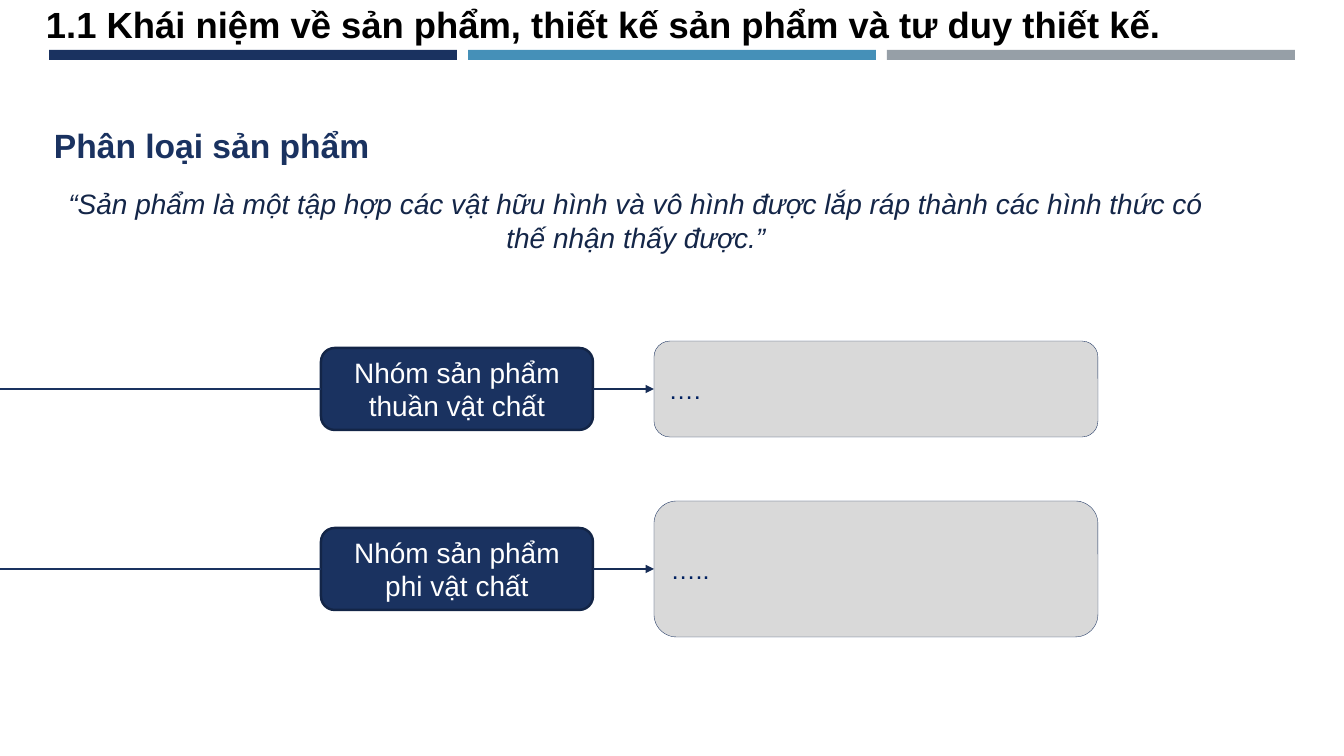
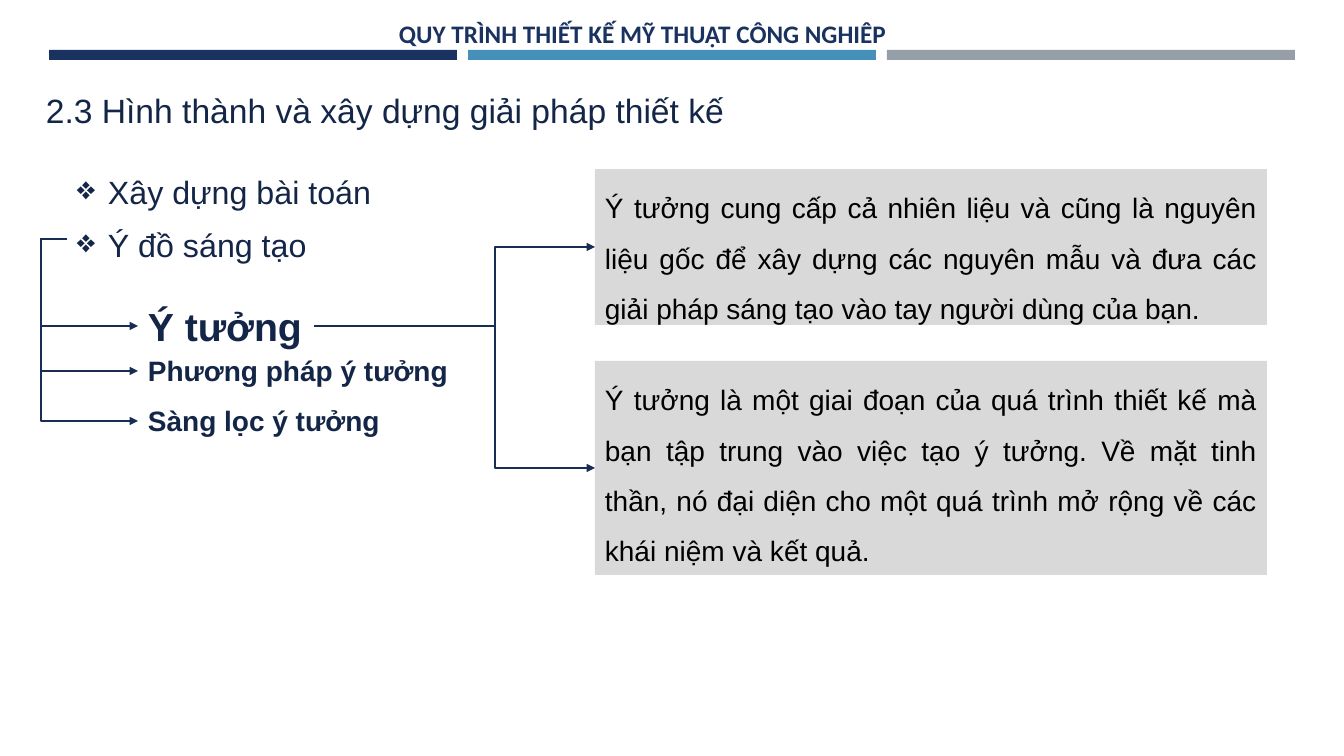
from lxml import etree
from pptx import Presentation
from pptx.dml.color import RGBColor
from pptx.enum.shapes import MSO_CONNECTOR as CXN, MSO_SHAPE as SHAPE
from pptx.enum.text import MSO_ANCHOR as ANCHOR, PP_ALIGN as ALIGN
from pptx.oxml.ns import qn
from pptx.util import Emu, Pt

NAVY, BLUE, SILVER = "1A3260", "4590B8", "969FA7"
INK, EDGE, ARROW, PANEL = "142648", "132547", "172D56", "D9D9D9"
TOP, LEFT, BOTTOM, RIGHT = range(4)
SCALE = 914400 / 100.8


def px(n):
    return Emu(round(n * SCALE))


def rgb(value):
    return RGBColor.from_string(value)


def write(shape, text, size=20, color=INK, font="Arial", bold=False, italic=False,
          align=ALIGN.LEFT, anchor=ANCHOR.TOP, spacing=None, wrap=True, bullet=None):
    tf = shape.text_frame
    tf.word_wrap = wrap
    tf.vertical_anchor = anchor
    p = tf.paragraphs[0]
    p.alignment = align
    if spacing:
        p.line_spacing = spacing
    if bullet:
        pPr = p._p.get_or_add_pPr()
        pPr.set("marL", str(px(31)))
        pPr.set("indent", str(-px(31)))
        etree.SubElement(pPr, qn("a:buChar")).set("char", bullet)
    r = p.add_run()
    r.text = text
    r.font.name, r.font.size = font, Pt(size)
    r.font.bold, r.font.italic = bold, italic
    r.font.color.rgb = rgb(color)


def label(s, box, text, **fmt):
    sp = s.shapes.add_textbox(*map(px, box))
    write(sp, text, **fmt)
    return sp


def block(s, box, fill, kind=SHAPE.RECTANGLE, line=None, weight=1):
    sp = s.shapes.add_shape(kind, *map(px, box))
    sp.shadow.inherit = False
    sp.fill.solid()
    sp.fill.fore_color.rgb = rgb(fill)
    if line:
        sp.line.color.rgb = rgb(line)
        sp.line.width = Pt(weight)
    else:
        sp.line.fill.background()
    return sp


def side(shape, site):
    """Middle of one side of a shape."""
    x = shape.left + {LEFT: 0, RIGHT: shape.width}.get(site, shape.width // 2)
    y = shape.top + {TOP: 0, BOTTOM: shape.height}.get(site, shape.height // 2)
    return Emu(x), Emu(y)


def connect(s, start, end, color=ARROW, weight=1, arrow=True, bend=None):
    """Join (shape, side) to (shape, side); a start of None is the slide's left edge."""
    finish = side(*end)
    origin = side(*start) if start else (Emu(0), finish[1])
    kind = CXN.STRAIGHT if bend is None else CXN.ELBOW
    c = s.shapes.add_connector(kind, *origin, *finish)
    if start:
        c.begin_connect(*start)
    c.end_connect(*end)
    c.line.color.rgb = rgb(color)
    c.line.width = Pt(weight)
    spPr = c._element.spPr
    if arrow:
        etree.SubElement(c.line._get_or_add_ln(), qn("a:tailEnd")).set("type", "triangle")
    etree.SubElement(spPr, qn("a:effectLst"))
    if bend is not None:
        ratio = (px(bend) - origin[0]) / (finish[0] - origin[0])
        guides = spPr.find(qn("a:prstGeom")).find(qn("a:avLst"))
        guide = etree.SubElement(guides, qn("a:gd"))
        guide.set("name", "adj1")
        guide.set("fmla", f"val {round(ratio * 100000)}")
        if ratio < 0:  # the route leaves backwards: half turn plus both flips
            xfrm = spPr.find(qn("a:xfrm"))
            for name, value in (("rot", "10800000"), ("flipH", "1"), ("flipV", "1")):
                xfrm.set(name, value)
    return c


def new_slide(prs):
    """Blank slide with the three-colour band."""
    s = prs.slides.add_slide(prs.slide_layouts[6])
    for i, color in enumerate((NAVY, BLUE, SILVER)):
        block(s, (49 + 419 * i, 50, 408, 10), color)
    return s


def group_row(s, x, middle, name, detail, height):
    """Product group, its feeding line and its detail panel, centred on one height."""
    node = block(s, (x, middle - 41, 272, 82), NAVY, SHAPE.ROUNDED_RECTANGLE, EDGE, 1.75)
    write(node, name, color="FFFFFF", align=ALIGN.CENTER, anchor=ANCHOR.MIDDLE)
    panel = block(s, (x + 333, middle - height // 2, 444, height), PANEL,
                  SHAPE.ROUNDED_RECTANGLE, NAVY, 0.25)
    write(panel, detail, size=18, color="002060", align=ALIGN.JUSTIFY, anchor=ANCHOR.MIDDLE)
    connect(s, None, (node, LEFT), NAVY, 1.75, arrow=False)
    connect(s, (node, RIGHT), (panel, LEFT))


def classification_slide(prs):
    s = new_slide(prs)
    label(s, (36, -3, 1174, 54),
          "1.1 Khái niệm về sản phẩm, thiết kế sản phẩm và tư duy thiết kế.",
          size=26, color="000000", bold=True)
    label(s, (44, 100, 340, 72), "Phân loại sản phẩm", size=24, color=NAVY,
          bold=True, spacing=1.5, wrap=False)
    label(s, (52, 182, 1168, 78),
          "“Sản phẩm là một tập hợp các vật hữu hình và vô hình được lắp ráp thành "
          "các hình thức có thế nhận thấy được.”", italic=True, align=ALIGN.CENTER)
    rows = (("Nhóm sản phẩm thuần vật chất", "….", 96),
            ("Nhóm sản phẩm phi vật chất", "…..", 136))
    for i, row in enumerate(rows):
        group_row(s, 321, 389 + 180 * i, *row)


def idea_outline(s, x, y):
    """Bulleted topics with a bracket to the steps; returns the main step."""
    label(s, (x, y, 672, 52), "Xây dựng bài toán", size=23, spacing=1.2, bullet="❖")
    intent = label(s, (x, y + 53, 252, 52), "Ý đồ sáng tạo", size=23, spacing=1.2,
                   bullet="❖", wrap=False)
    steps = []
    for text, dy, width, height, size in (("Ý tưởng", 137, 176, 58, 28),
                                          ("Phương pháp ý tưởng", 189, 324, 44, 20),
                                          ("Sàng lọc ý tưởng", 239, 254, 44, 20)):
        step = label(s, (x + 71, y + dy, width, height), text, size=size, bold=True, wrap=False)
        connect(s, (intent, LEFT), (step, LEFT), bend=x - 26)
        steps.append(step)
    return steps[0]


def idea_notes(s, x, y, source):
    """Grey notes that the main step points to."""
    notes = (
        (0, 156, "Ý tưởng cung cấp cả nhiên liệu và cũng là nguyên liệu gốc để xây dựng "
                 "các nguyên mẫu và đưa các giải pháp sáng tạo vào tay người dùng của bạn."),
        (192, 214, "Ý tưởng là một giai đoạn của quá trình thiết kế mà bạn tập trung vào "
                   "việc tạo ý tưởng. Về mặt tinh thần, nó đại diện cho một quá trình "
                   "mở rộng về các khái niệm và kết quả."),
    )
    for dy, height, text in notes:
        note = block(s, (x, y + dy, 672, height), PANEL)
        write(note, text, color="000000", align=ALIGN.JUSTIFY, spacing=1.5)
        connect(s, (source, RIGHT), (note, LEFT), bend=x - 100)


def solution_slide(prs):
    s = new_slide(prs)
    label(s, (389, 13, 553, 40), "QUY TRÌNH THIẾT KẾ MỸ THUẬT CÔNG NGHIÊP", size=18,
          color=NAVY, font="Calibri", bold=True)
    label(s, (36, 85, 1174, 50), "2.3 Hình thành và xây dựng giải pháp thiết kế", size=24)
    idea = idea_outline(s, 67, 160)
    idea_notes(s, 595, 169, idea)


def main():
    prs = Presentation()
    prs.slide_width, prs.slide_height = px(1344), px(756)
    classification_slide(prs)
    solution_slide(prs)
    prs.save("out.pptx")


if __name__ == "__main__":
    main()
